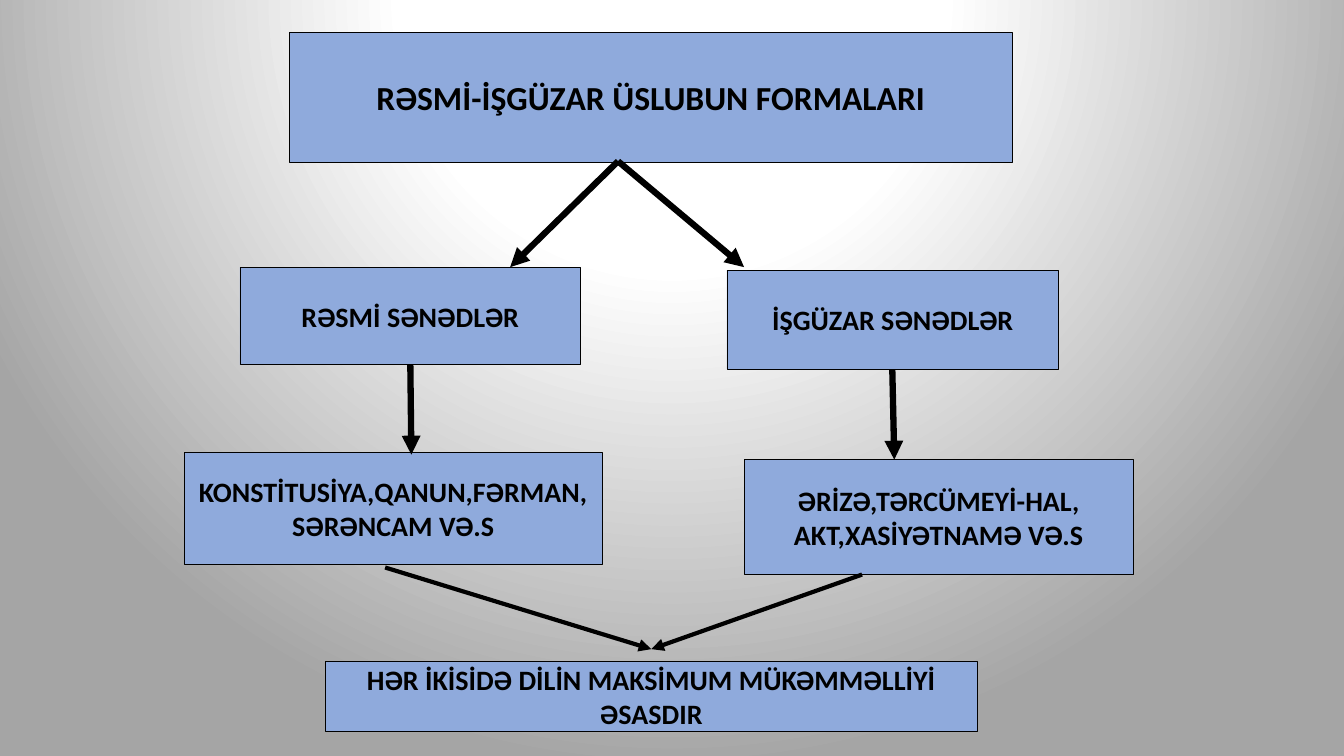
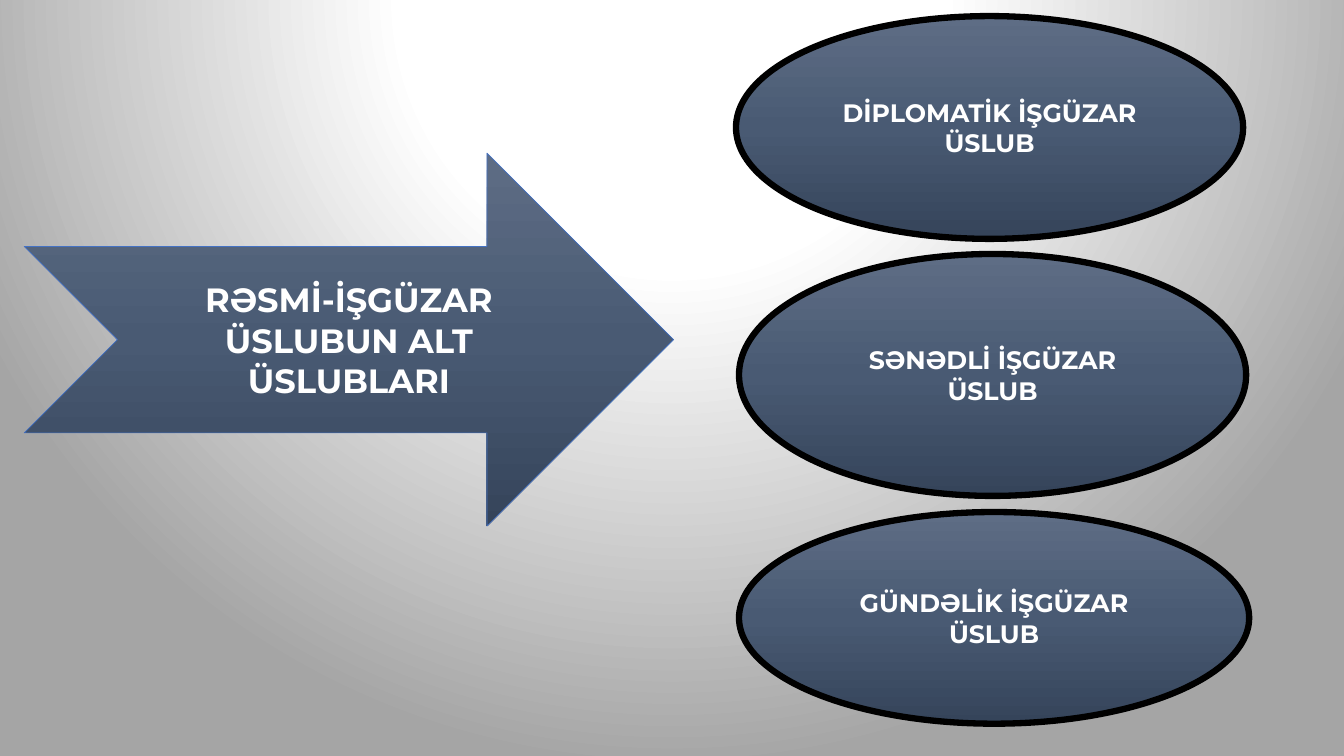
import pptx
import pptx.util
import pptx.dml.color
import pptx.enum.shapes
import pptx.enum.text
import pptx.oxml
import pptx.oxml.ns
from lxml import etree

Inches, Pt = pptx.util.Inches, pptx.util.Pt
RGB = pptx.dml.color.RGBColor.from_string
SHAPES = pptx.enum.shapes.MSO_SHAPE
qn = pptx.oxml.ns.qn

# Theme: colours in RRGGBB, sizes in points
THEME = {
    "backdrop": [(0, "FFFFFF"), (35, "FFFFFF"), (100, "A5A5A5")],
    "slate": [(0, "5E6D85"), (50, "495A73"), (100, "35445A")],
    "box": "8FAADC",
    "ink": "000000",
    "accent": "4472C4",
    "thin": 0.5,
    "medium": 3,
    "thick": 4.5,
}
TEXT = {
    "box_title": {"name": "Calibri", "size": Pt(24), "bold": True},
    "box": {"name": "Calibri", "size": Pt(20), "bold": True},
    "arrow": {"name": "Montserrat", "size": Pt(24), "bold": True},
    "oval": {"name": "Montserrat", "size": Pt(18), "bold": True},
}

# Slide 1 content: text, text style, (left, top, width, height)
FORMS = [
    ("RƏSMİ-İŞGÜZAR ÜSLUBUN FORMALARI", "box_title", (2.87, 0.32, 7.17, 1.29)),
    ("RƏSMİ SƏNƏDLƏR", "box", (2.38, 2.65, 3.38, 0.97)),
    ("İŞGÜZAR SƏNƏDLƏR", "box", (7.21, 2.68, 3.29, 0.98)),
    ("KONSTİTUSİYA,QANUN,FƏRMAN, SƏRƏNCAM VƏ.S", "box", (1.83, 4.49, 4.14, 1.11)),
    ("ƏRİZƏ,TƏRCÜMEYİ-HAL, AKT,XASİYƏTNAMƏ VƏ.S", "box", (7.38, 4.56, 3.86, 1.14)),
    ("HƏR İKİSİDƏ DİLİN MAKSİMUM MÜKƏMMƏLLİYİ ƏSASDIR", "box",
     (3.23, 6.56, 6.46, 0.7)),
]
SPLIT, MERGE = (6.13, 1.6), (6.46, 6.44)
# Start, end, weight
LINKS = [
    (SPLIT, (5.06, 2.65), "thick"),
    (SPLIT, (7.38, 2.65), "thick"),
    ((4.07, 3.62), (4.08, 4.51), "thick"),
    ((8.85, 3.67), (8.87, 4.56), "thick"),
    ((3.82, 5.63), MERGE, "medium"),
    ((8.55, 5.7), MERGE, "medium"),
]

# Slide 2 content
SUBSTYLE_HEADING = ("RƏSMİ-İŞGÜZAR ÜSLUBUN ALT ÜSLUBLARI", (0.24, 1.52, 6.44, 3.7))
SUBSTYLES = [
    ("DİPLOMATİK İŞGÜZAR ÜSLUB", (7.3, 0.16, 5.03, 2.21)),
    ("SƏNƏDLİ İŞGÜZAR ÜSLUB", (7.33, 2.52, 5.03, 2.4)),
    ("GÜNDƏLİK İŞGÜZAR ÜSLUB", (7.33, 5.08, 5.06, 2.1)),
]

LINEAR_DOWN = '<a:lin ang="5400000" scaled="0"/>'
CIRCLE_FROM_ABOVE = ('<a:path path="circle"><a:fillToRect l="50000" t="-80000" '
                     'r="50000" b="180000"/></a:path>')


def paint_gradient(fill, owner, stops, direction):
    """Give a fill any number of stops and a linear or circular direction."""
    fill.gradient()
    stop_xml = "".join(
        f'<a:gs pos="{pos * 1000}"><a:srgbClr val="{colour}"/></a:gs>'
        for pos, colour in stops)
    gradient = pptx.oxml.parse_xml(
        f'<a:gradFill {pptx.oxml.ns.nsdecls("a")} rotWithShape="1">'
        f'<a:gsLst>{stop_xml}</a:gsLst>{direction}</a:gradFill>')
    current = owner.find(".//" + qn("a:gradFill"))
    current.getparent().replace(current, gradient)


def add_panel(slide, kind, text, style, place, fill, edge, weight, ink):
    panel = slide.shapes.add_shape(kind, *map(Inches, place))
    panel.shadow.inherit = False
    if isinstance(fill, list):
        paint_gradient(panel.fill, panel.element.spPr, fill, LINEAR_DOWN)
    else:
        panel.fill.solid()
        panel.fill.fore_color.rgb = RGB(fill)
    panel.line.color.rgb = RGB(edge)
    panel.line.width = Pt(weight)

    frame = panel.text_frame
    frame.word_wrap = True
    frame.vertical_anchor = pptx.enum.text.MSO_ANCHOR.MIDDLE
    paragraph = frame.paragraphs[0]
    paragraph.alignment = pptx.enum.text.PP_ALIGN.CENTER
    run = paragraph.add_run()
    run.text = text
    for attribute, value in TEXT[style].items():
        setattr(run.font, attribute, value)
    run.font.color.rgb = RGB(ink)


def add_link(slide, start, end, weight):
    link = slide.shapes.add_connector(
        pptx.enum.shapes.MSO_CONNECTOR.STRAIGHT, *map(Inches, start + end))
    link.line.color.rgb = RGB(THEME["ink"])
    link.line.width = Pt(THEME[weight])
    properties = link.element.spPr
    etree.SubElement(properties.find(qn("a:ln")), qn("a:tailEnd"), type="triangle")
    etree.SubElement(properties, qn("a:effectLst"))


def build_forms(slide):
    for text, style, place in FORMS:
        add_panel(slide, SHAPES.RECTANGLE, text, style, place, THEME["box"],
                  THEME["ink"], THEME["thin"], THEME["ink"])
    for start, end, weight in LINKS:
        add_link(slide, start, end, weight)


def build_substyles(slide):
    text, place = SUBSTYLE_HEADING
    add_panel(slide, SHAPES.NOTCHED_RIGHT_ARROW, text, "arrow", place,
              THEME["slate"], THEME["accent"], THEME["thin"], "FFFFFF")
    for text, place in SUBSTYLES:
        add_panel(slide, SHAPES.OVAL, text, "oval", place,
                  THEME["slate"], THEME["ink"], THEME["thick"], "FFFFFF")


def main():
    deck = pptx.Presentation()
    deck.slide_width, deck.slide_height = Inches(13.33), Inches(7.5)
    # Shared backdrop
    master = deck.slide_master
    paint_gradient(master.background.fill, master.element,
                   THEME["backdrop"], CIRCLE_FROM_ABOVE)
    for build in (build_forms, build_substyles):
        build(deck.slides.add_slide(deck.slide_layouts[6]))
    deck.save("out.pptx")


if __name__ == "__main__":
    main()
